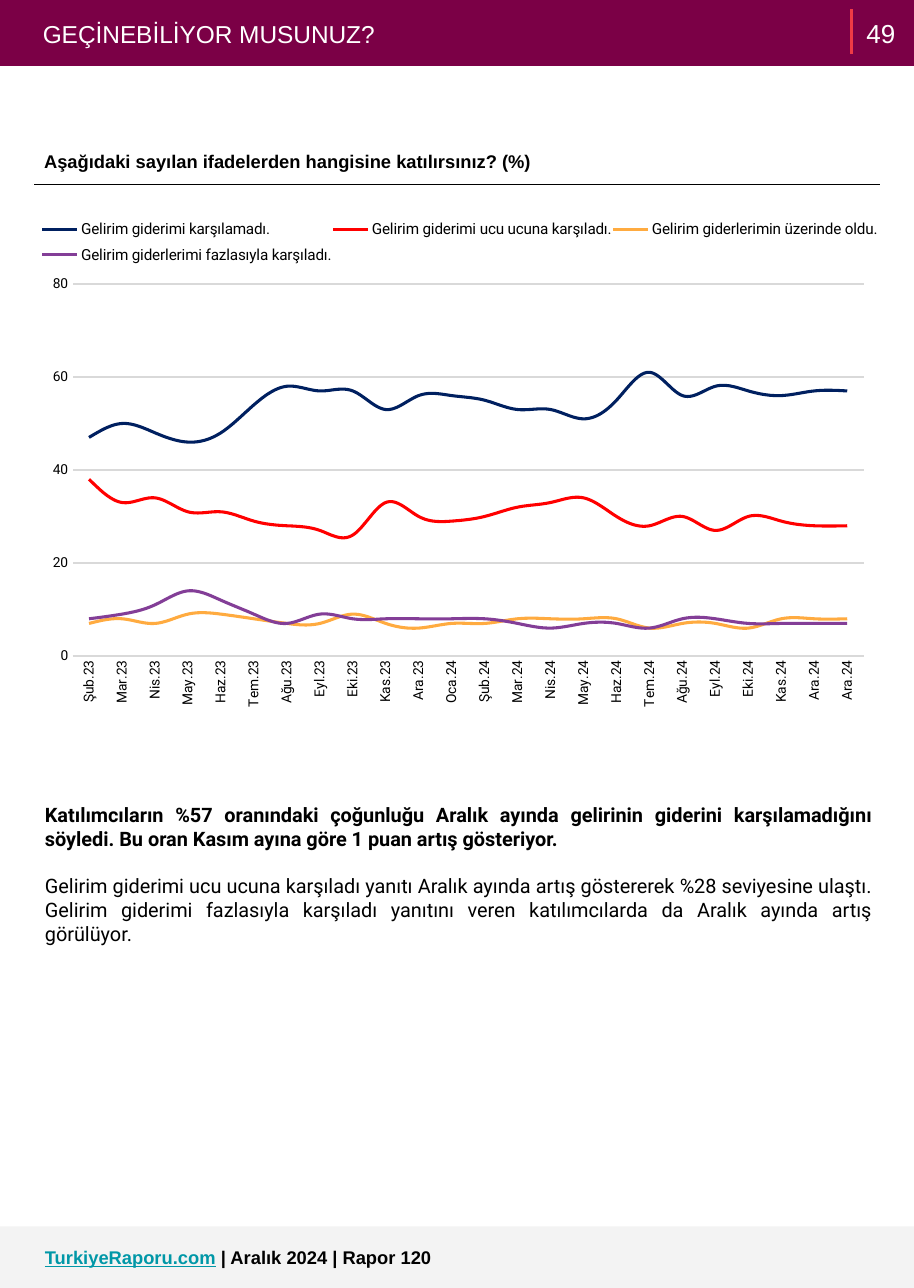
"""Builds a report page with a line chart of how household income met expenses."""
from itertools import product

from lxml import etree
from pptx import Presentation, util as u
from pptx.chart.data import CategoryChartData
from pptx.dml.color import RGBColor
from pptx.enum import chart as ch, shapes, text as t
from pptx.oxml.ns import qn

WIDTH, HEIGHT = 8.3, 11.7
MARGIN = 0.29
CONTENT = WIDTH - 2 * MARGIN
CHART_HEIGHT = 4.92
BAND = 0.6
BLACK = RGBColor(0x00, 0x00, 0x00)
WHITE = RGBColor(0xFF, 0xFF, 0xFF)
PLUM = RGBColor(0x7B, 0x00, 0x46)
CORAL = RGBColor(0xEF, 0x3B, 0x45)
TEAL = RGBColor(0x00, 0x97, 0xA7)
PALE = RGBColor(0xF3, 0xF3, 0xF3)
GRID = RGBColor(0xD9, 0xD9, 0xD9)
NAVY = RGBColor(0x00, 0x20, 0x60)
RED = RGBColor(0xFF, 0x00, 0x00)
ORANGE = RGBColor(0xFF, 0xAB, 0x40)
PURPLE = RGBColor(0x83, 0x3E, 0x97)


def write(para, words, size=12, color=BLACK, bold=False, font="Arial", underline=False):
    span = para.add_run()
    span.text = words
    span.font.size = u.Pt(size)
    span.font.name = font
    span.font.bold = bold
    span.font.underline = underline
    span.font.color.rgb = color


def place(parent, index, left, top, width, height, inner=False):
    for old in parent.findall(qn("c:layout")):
        parent.remove(old)
    layout = etree.Element(qn("c:layout"))
    manual = etree.SubElement(layout, qn("c:manualLayout"))
    values = {"layoutTarget": "inner"} if inner else {}
    values.update(xMode="edge", yMode="edge", x=left / CONTENT, y=top / CHART_HEIGHT,
                  w=width / CONTENT, h=height / CHART_HEIGHT)
    for tag, value in values.items():
        etree.SubElement(manual, qn(f"c:{tag}")).set("val", str(value))
    parent.insert(index, layout)


deck = Presentation()
deck.slide_width, deck.slide_height = u.Inches(WIDTH), u.Inches(HEIGHT)
page = deck.slides.add_slide(deck.slide_layouts[6])

for top, color in ((HEIGHT - 0.56, PALE), (0, PLUM)):
    band = page.shapes.add_shape(shapes.MSO_SHAPE.RECTANGLE, 0, u.Inches(top),
                                 deck.slide_width, u.Inches(BAND))
    band.shadow.inherit = False
    band.fill.solid()
    band.fill.fore_color.rgb = color
    band.line.fill.background()

divider = page.shapes.add_connector(shapes.MSO_CONNECTOR.STRAIGHT, u.Inches(7.73),
                                    u.Inches(0.08), u.Inches(7.73), u.Inches(0.49))
divider.line.color.rgb = CORAL
divider.line.width = u.Pt(2.25)
etree.SubElement(divider._element.spPr, qn("a:effectLst"))

frames = {}
for name, area, inset in (("footer", (0.31, 11.22, 6.96, 0.4), 0.1),
                          ("number", (7.73, -0.15, 0.54, 0.9), 0.1),
                          ("title", (MARGIN, 0.07, CONTENT, 0.47), 0.1),
                          ("comment", (0.31, 7.24, 7.7, 1.41), 0.05)):
    box = page.shapes.add_textbox(*map(u.Inches, area))
    frame = frames[name] = box.text_frame
    frame.word_wrap = True
    frame.margin_left = frame.margin_right = u.Inches(0.1)
    frame.margin_top = frame.margin_bottom = u.Inches(inset)

footer = frames["footer"].paragraphs[0]
write(footer, "TurkiyeRaporu.com", color=TEAL, bold=True, underline=True)
write(footer, " | Aralık 2024 | Rapor 120", bold=True)

frames["number"].vertical_anchor = t.MSO_ANCHOR.MIDDLE
number = frames["number"].paragraphs[0]
number.alignment = t.PP_ALIGN.CENTER
write(number, "49", size=17, color=WHITE)
write(frames["title"].paragraphs[0], "GEÇİNEBİLİYOR MUSUNUZ?", size=16, color=WHITE)

finding = frames["comment"].paragraphs[0]
detail = frames["comment"].add_paragraph()
finding.alignment = detail.alignment = t.PP_ALIGN.JUSTIFY
detail.space_before = u.Pt(15.6)
write(finding, "Katılımcıların %57 oranındaki çoğunluğu Aralık ayında gelirinin giderini "
      "karşılamadığını söyledi. Bu oran Kasım ayına göre 1 puan artış gösteriyor.",
      size=13, font="Roboto", bold=True)
write(detail, "Gelirim giderimi ucu ucuna karşıladı yanıtı Aralık ayında artış göstererek %28 "
      "seviyesine ulaştı. Gelirim giderimi fazlasıyla karşıladı yanıtını veren "
      "katılımcılarda da Aralık ayında artış görülüyor.", size=13, font="Roboto")

table = page.shapes.add_table(1, 1, *map(u.Inches, (0.3, 1.25, 7.7, 0.43))).table
table.first_row = table.horz_banding = False
question = table.cell(0, 0)
question.margin_left = question.margin_right = u.Inches(0.1)
question.margin_top = question.margin_bottom = u.Inches(0.1)
borders = question._tc.get_or_add_tcPr()
for side, color in (("L", WHITE), ("R", WHITE), ("T", WHITE), ("B", BLACK)):
    edge = etree.SubElement(borders, qn(f"a:ln{side}"), w=str(u.Pt(0.75)))
    paint = etree.SubElement(edge, qn("a:solidFill"))
    etree.SubElement(paint, qn("a:srgbClr"), val=str(color))
question.fill.background()
heading = question.text_frame.paragraphs[0]
heading.line_spacing = 1.15
write(heading, "Aşağıdaki sayılan ifadelerden hangisine katılırsınız? (%)", bold=True)

months = "Oca Şub Mar Nis May Haz Tem Ağu Eyl Eki Kas Ara".split()
dates = [f"{month}.{year}" for year, month in product((23, 24), months)][1:]
answers = (
    ("Gelirim giderimi karşılamadı.", NAVY,
     (47, 50, 48, 46, 48, 54, 58, 57, 57, 53, 56, 56,
      55, 53, 53, 51, 55, 61, 56, 58, 57, 56, 57, 57)),
    ("Gelirim giderimi ucu ucuna karşıladı.", RED,
     (38, 33, 34, 31, 31, 29, 28, 27, 26, 33, 30, 29,
      30, 32, 33, 34, 30, 28, 30, 27, 30, 29, 28, 28)),
    ("Gelirim giderlerimin üzerinde oldu.", ORANGE,
     (7, 8, 7, 9, 9, 8, 7, 7, 9, 7, 6, 7, 7, 8, 8, 8, 8, 6, 7, 7, 6, 8, 8, 8)),
    ("Gelirim giderlerimi fazlasıyla karşıladı.", PURPLE,
     (8, 9, 11, 14, 12, 9, 7, 9, 8, 8, 8, 8, 8, 7, 6, 7, 7, 6, 8, 8, 7, 7, 7, 7)),
)
data = CategoryChartData()
data.categories = dates + dates[-1:]
for name, color, values in answers:
    data.add_series(name, values)
chart = page.shapes.add_chart(ch.XL_CHART_TYPE.LINE,
                              *map(u.Inches, (MARGIN, 1.87, CONTENT, CHART_HEIGHT)), data).chart
chart.has_title = False
chart.font.size = u.Pt(10)
chart.font.name = "Roboto"
chart.font.color.rgb = BLACK
chart.plots[0].vary_by_categories = False
for series, (name, color, values) in zip(chart.plots[0].series, answers):
    series.smooth = True
    series.marker.style = ch.XL_MARKER_STYLE.NONE
    series.format.line.color.rgb = color
    series.format.line.width = u.Pt(2)

for axis in (chart.category_axis, chart.value_axis):
    axis.major_tick_mark = axis.minor_tick_mark = ch.XL_TICK_MARK.NONE
    axis.tick_labels.font.size = u.Pt(9)
    axis.tick_labels.font.name = "Roboto"
    axis.tick_labels.font.color.rgb = BLACK
turned = chart.category_axis._element.find(qn("c:txPr")).find(qn("a:bodyPr"))
turned.set("rot", "-5400000")
turned.set("vert", "horz")
scale = chart.value_axis
scale.minimum_scale, scale.maximum_scale, scale.major_unit = 0, 80, 20
scale.format.line.fill.background()
for line in (chart.category_axis.format.line, scale.major_gridlines.format.line):
    line.color.rgb = GRID
    line.width = u.Pt(0.75)

chart.has_legend = True
chart.legend.position = ch.XL_LEGEND_POSITION.BOTTOM
chart.legend.include_in_layout = False
chart.legend.font.size = u.Pt(10)
chart.legend.font.name = "Roboto"
chart.legend.font.color.rgb = BLACK
place(chart.legend._element, 1, 0.08, 0.06, 7.66, 0.54)
place(chart._chartSpace.chart.plotArea, 0, 0.37, 0.71, 7.21, 3.38, inner=True)

deck.save("out.pptx")
